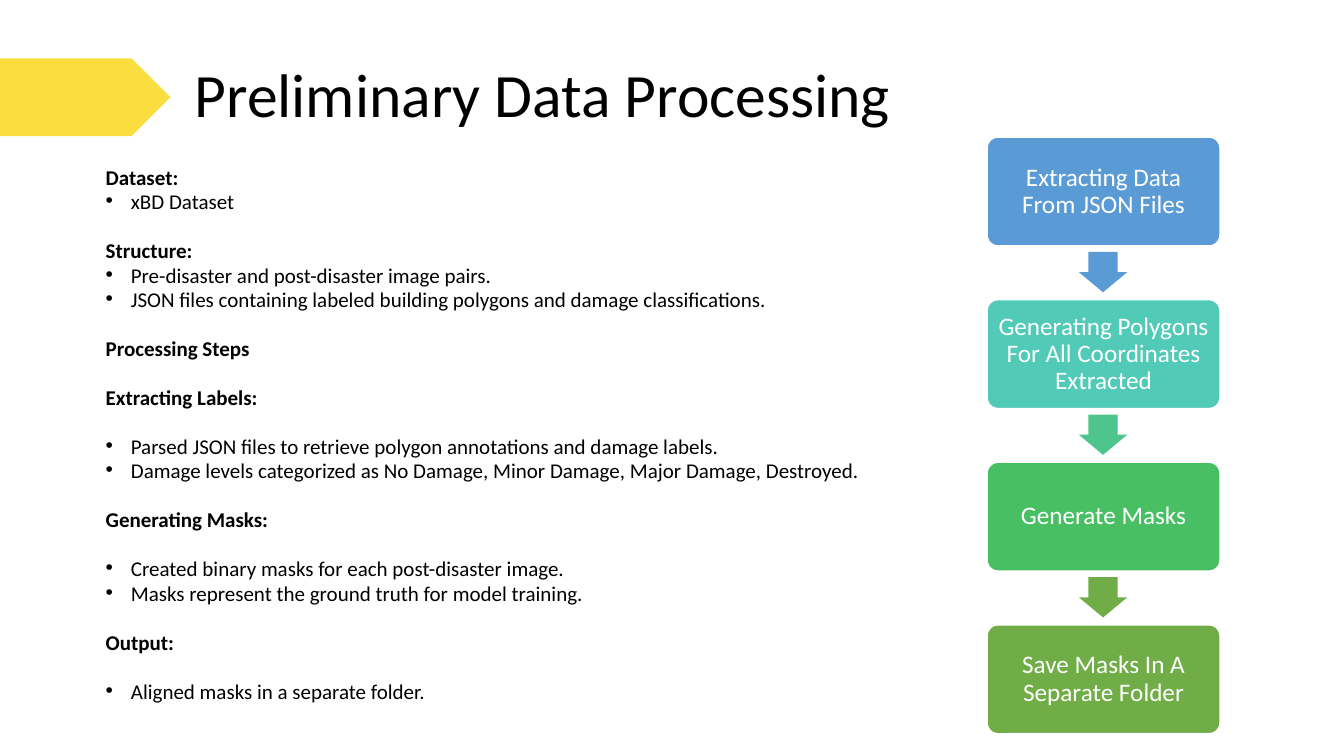
from pptx import Presentation
from pptx.dml.color import RGBColor
from pptx.enum.shapes import MSO_SHAPE
from pptx.enum.text import MSO_ANCHOR, PP_ALIGN
from pptx.oxml.ns import qn
from pptx.util import Inches, Pt
from lxml.etree import SubElement

BLACK = RGBColor(0x00, 0x00, 0x00)
WHITE = RGBColor(0xFF, 0xFF, 0xFF)
YELLOW = RGBColor(0xFA, 0xDE, 0x40)
BLUE = RGBColor(0x5B, 0x9B, 0xD5)
TEAL = RGBColor(0x52, 0xCA, 0xB8)
MINT = RGBColor(0x4D, 0xC5, 0x8D)
GREEN = RGBColor(0x49, 0xBF, 0x64)
OLIVE = RGBColor(0x70, 0xAD, 0x47)


def write(p, text, size=15, color=BLACK, bold=False, align=PP_ALIGN.LEFT, spacing=0.9):
    p.alignment = align
    p.line_spacing = spacing
    r = p.add_run()
    r.text = text
    r.font.name = "Calibri"
    r.font.size = Pt(size)
    r.font.bold = bold
    r.font.color.rgb = color


def add_block(kind, x, y, w, h, fill):
    sp = s.shapes.add_shape(kind, Inches(x), Inches(y), Inches(w), Inches(h))
    sp.shadow.inherit = False
    sp.fill.solid()
    sp.fill.fore_color.rgb = fill
    sp.line.fill.background()
    return sp


prs = Presentation()
prs.slide_width, prs.slide_height = Inches(13.33), Inches(7.5)
s = prs.slides.add_slide(prs.slide_layouts[5])

add_block(MSO_SHAPE.PENTAGON, 0, 0.58, 1.69, 0.77, YELLOW)

title = s.shapes.title
title.left, title.top = Inches(1.83), Inches(0.24)
title.width, title.height = Inches(11.5), Inches(1.45)
title.text_frame.vertical_anchor = MSO_ANCHOR.MIDDLE
write(title.text_frame.paragraphs[0], "Preliminary Data Processing", size=44)

sections = [
    ("Dataset:", False, ["xBD Dataset"]),
    ("Structure:", False, [
        "Pre-disaster and post-disaster image pairs.",
        "JSON files containing labeled building polygons and damage classifications.",
    ]),
    ("Processing Steps", False, []),
    ("Extracting Labels:", True, [
        "Parsed JSON files to retrieve polygon annotations and damage labels.",
        "Damage levels categorized as No Damage, Minor Damage, Major Damage, Destroyed.",
    ]),
    ("Generating Masks:", True, [
        "Created binary masks for each post-disaster image.",
        "Masks represent the ground truth for model training.",
    ]),
    ("Output:", True, ["Aligned masks in a separate folder."]),
]
TIGHT, LOOSE = Pt(4.8), Pt(22.4)

body = s.shapes.add_textbox(Inches(0.45), Inches(1.65), Inches(8.97), Inches(5.7))
tf = body.text_frame
tf.word_wrap = True
for i, (heading, spaced, bullets) in enumerate(sections):
    p = tf.add_paragraph() if i else tf.paragraphs[0]
    p.space_before = LOOSE if i else Pt(0)
    pPr = p._p.get_or_add_pPr()
    pPr.set("marL", str(Inches(0.5)))
    write(p, heading, bold=True, spacing=0.7)
    for j, bullet in enumerate(bullets):
        p = tf.add_paragraph()
        p.space_before = LOOSE if spaced and j == 0 else TIGHT
        pPr = p._p.get_or_add_pPr()
        pPr.set("marL", str(Inches(0.75)))
        pPr.set("indent", str(-Inches(0.25)))
        SubElement(pPr, qn("a:buFont")).set("typeface", "Arial")
        SubElement(pPr, qn("a:buChar")).set("char", "•")
        write(p, bullet, spacing=0.7)

steps = [
    ("Extracting Data From JSON Files", BLUE, BLUE),
    ("Generating Polygons For All Coordinates Extracted", TEAL, MINT),
    ("Generate Masks", GREEN, OLIVE),
    ("Save Masks In A Separate Folder", OLIVE, None),
]
for i, (label, fill, arrow_fill) in enumerate(steps):
    y = 1.36 + 1.613 * i
    box = add_block(MSO_SHAPE.ROUNDED_RECTANGLE, 9.79, y, 2.31, 1.08, fill)
    box.adjustments[0] = 0.1
    box.line.color.rgb = WHITE
    box.line.width = Pt(1)
    tf = box.text_frame
    tf.word_wrap = True
    tf.vertical_anchor = MSO_ANCHOR.MIDDLE
    tf.margin_left = tf.margin_right = tf.margin_top = tf.margin_bottom = Inches(0.07)
    write(tf.paragraphs[0], label, size=18, color=WHITE, align=PP_ALIGN.CENTER)
    if arrow_fill:
        arrow = add_block(MSO_SHAPE.DOWN_ARROW, 10.7, y + 1.14, 0.48, 0.4, arrow_fill)
        arrow.adjustments[0] = 0.6
        arrow.adjustments[1] = 0.5

prs.save("out.pptx")
